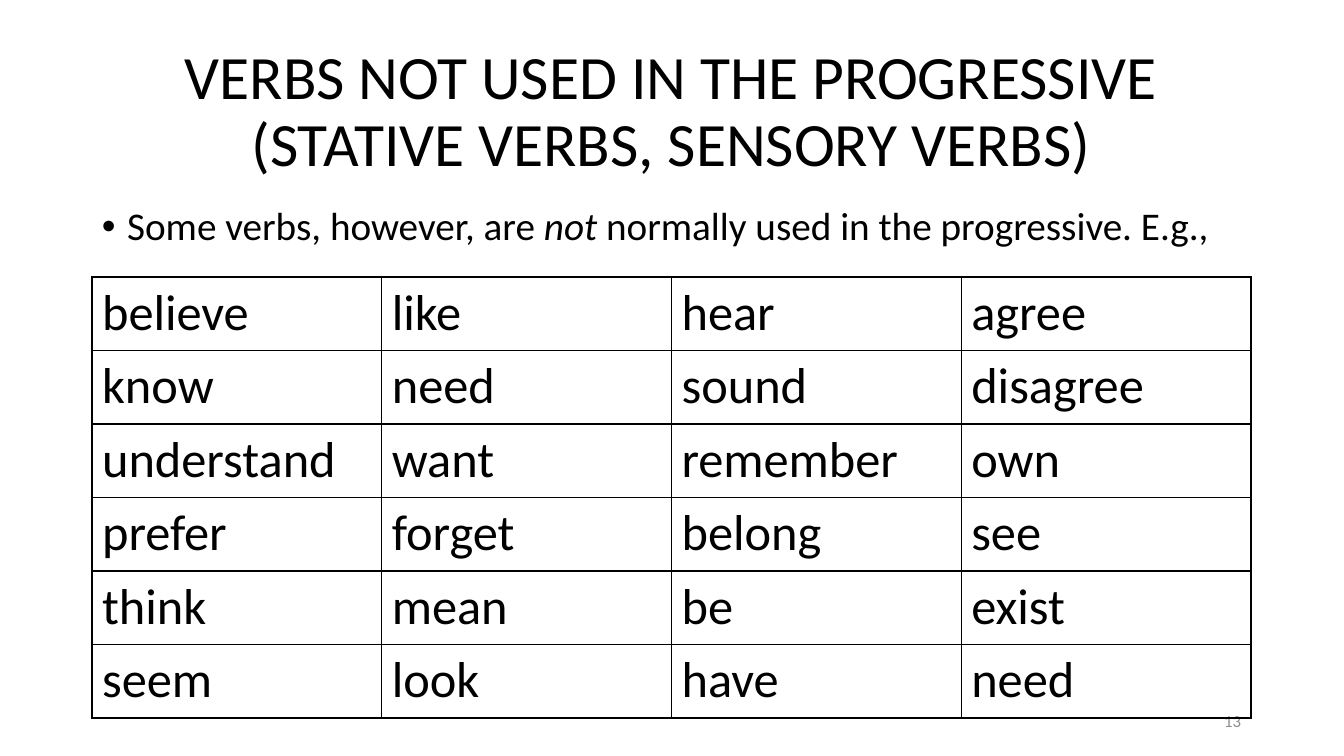
from lxml.etree import SubElement
from pptx import Presentation
from pptx.dml.color import RGBColor
from pptx.enum.text import MSO_ANCHOR as Anchor, MSO_AUTO_SIZE as AutoSize, PP_ALIGN as Align
from pptx.oxml.ns import qn
from pptx.util import Pt

PX = 914400 / 100.8
BLACK = RGBColor(0x00, 0x00, 0x00)
GRAY = RGBColor(0x8C, 0x8C, 0x8C)
LEFT, WIDTH = 92, 1159

TITLE = "VERBS NOT USED IN THE PROGRESSIVE (STATIVE VERBS, SENSORY VERBS)"
INTRO = [("Some verbs, however, are ", False), ("not", True),
         (" normally used in the progressive. E.g.,", False)]
VERBS = [
    ["believe", "like", "hear", "agree"],
    ["know", "need", "sound", "disagree"],
    ["understand", "want", "remember", "own"],
    ["prefer", "forget", "belong", "see"],
    ["think", "mean", "be", "exist"],
    ["seem", "look", "have", "need"],
]


def px(length):
    """Turn slide pixels into EMU."""
    return round(length * PX)


def set_all(target, values):
    """Set every attribute named in a dict."""
    for name, value in values.items():
        setattr(target, name, value)


def write(paragraph, parts, size, color=BLACK, **layout):
    """Fill a paragraph with (words, italic) parts."""
    set_all(paragraph, layout)
    for words, italic in parts:
        run = paragraph.add_run()
        run.text = words
        set_all(run.font, {"name": "Calibri", "size": Pt(size), "italic": italic})
        run.font.color.rgb = color


def add_title(slide):
    """Place and fill the title placeholder."""
    title = slide.shapes.title
    set_all(title, {"left": px(LEFT), "top": px(40), "width": px(WIDTH), "height": px(146)})
    set_all(title.text_frame, {"vertical_anchor": Anchor.MIDDLE, "word_wrap": True,
                               "auto_size": AutoSize.NONE})
    write(title.text_frame.paragraphs[0], [(TITLE, False)], 44,
          alignment=Align.CENTER, line_spacing=0.9)


def add_text(slide, box, anchor, parts, size, **style):
    """Add a one-paragraph text box and return its paragraph."""
    frame = slide.shapes.add_textbox(*map(px, box)).text_frame
    set_all(frame, {"word_wrap": True, "vertical_anchor": anchor})
    write(frame.paragraphs[0], parts, size, **style)
    return frame.paragraphs[0]


def add_bullet(paragraph):
    """Give a paragraph a hanging round bullet."""
    props = paragraph._p.get_or_add_pPr()
    props.set("marL", "228600")
    props.set("indent", "-228600")
    SubElement(props, qn("a:buFont"), typeface="Arial")
    SubElement(props, qn("a:buChar"), char="\u2022")


def add_borders(cell):
    """Draw a thin black line on all four sides of a cell."""
    props = cell._tc.get_or_add_tcPr()
    for side in "LRTB":
        line = SubElement(props, qn(f"a:ln{side}"), w=str(Pt(1)))
        fill = SubElement(line, qn("a:solidFill"))
        SubElement(fill, qn("a:srgbClr"), val=str(BLACK))


def add_verb_table(slide):
    """Add the ruled grid of verbs."""
    table = slide.shapes.add_table(len(VERBS), len(VERBS[0]), px(LEFT), px(277),
                                   px(WIDTH), px(441)).table
    set_all(table, {"first_row": False, "horz_banding": False})
    for row, verbs in enumerate(VERBS):
        for column, verb in enumerate(verbs):
            cell = table.cell(row, column)
            add_borders(cell)
            cell.fill.background()
            write(cell.text_frame.paragraphs[0], [(verb, False)], 36)


def main():
    """Build and save the slide."""
    deck = Presentation()
    set_all(deck, {"slide_width": px(1344), "slide_height": px(756)})
    slide = deck.slides.add_slide(deck.slide_layouts[5])
    add_title(slide)
    intro = add_text(slide, (LEFT, 202, WIDTH, 480), Anchor.TOP, INTRO, 28,
                     line_spacing=0.9, space_before=Pt(10))
    add_bullet(intro)
    add_text(slide, (949, 701, 302, 40), Anchor.MIDDLE, [("13", False)], 12,
             color=GRAY, alignment=Align.RIGHT)
    add_verb_table(slide)
    deck.save("out.pptx")


main()
